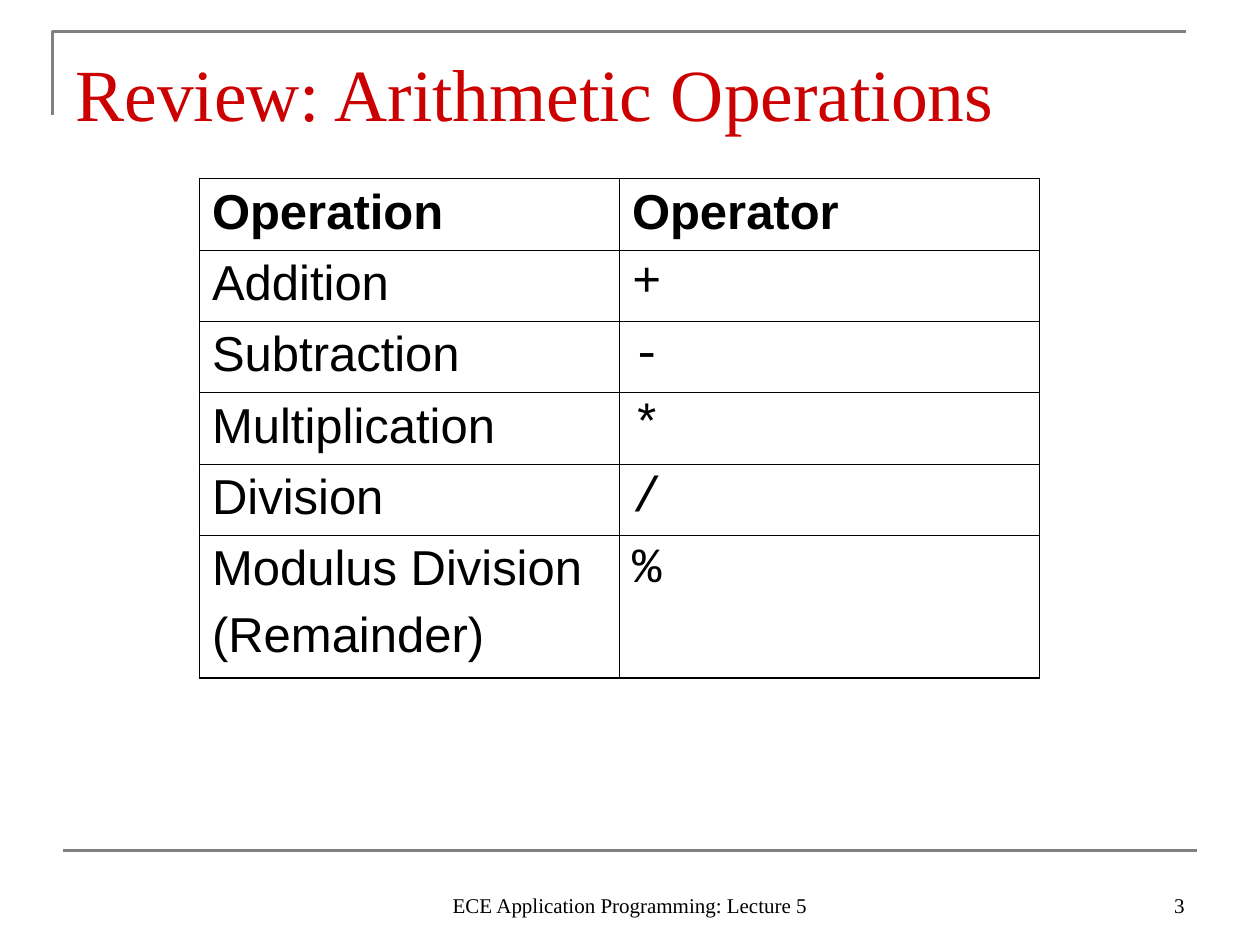
from pptx import Presentation
from pptx.dml.color import RGBColor
from pptx.enum.shapes import MSO_CONNECTOR
from pptx.enum.text import MSO_ANCHOR, MSO_AUTO_SIZE, PP_ALIGN
from pptx.oxml.ns import qn
from pptx.util import Pt
from lxml import etree

LEFT, MID, RIGHT = PP_ALIGN.LEFT, PP_ALIGN.CENTER, PP_ALIGN.RIGHT
LOW = MSO_ANCHOR.BOTTOM
FIXED = MSO_AUTO_SIZE.NONE
LINE = MSO_CONNECTOR.STRAIGHT

TITLE = "Review: Arithmetic Operations"
ROWS = [
    ("Operation", "Operator"),
    ("Addition", "+"),
    ("Subtraction", "-"),
    ("Multiplication", "*"),
    ("Division", "/"),
    ("Modulus Division\n(Remainder)", "%"),
]
NOTES = [
    ("3", (516, 492, 168, 36), RIGHT),
    ("ECE Application Programming: Lecture 5", (246, 492, 228, 36), MID),
]
THEME = {
    "title": ("Times New Roman", 42, "CC0000"),
    "foot": ("Times New Roman", 12, "000000"),
    "text": ("Arial", 28, "000000"),
    "code": ("Courier New", 28, "000000"),
    "rule": "808080",
    "grid": "000000",
}
RULE, INNER, OUTER = 1.5, 0.45, 1.08
COL, ROW, TALL = 240, 40.8, 81.36
GAP = 7


def style(para, role, align=LEFT, bold=False):
    name, size, color = THEME[role]
    para.alignment = align
    font = para.font
    font.name, font.size, font.bold = name, Pt(size), bold
    font.color.rgb = RGBColor.from_string(color)


def stroke(line):
    line.color.rgb = RGBColor.from_string(THEME["rule"])
    line.width = Pt(RULE)


def border(cell, sides):
    props = cell._tc.get_or_add_tcPr()
    for spot, (side, width) in enumerate(sides.items()):
        edge = etree.Element(qn("a:" + side), w=str(int(Pt(width))))
        fill = etree.SubElement(edge, qn("a:solidFill"))
        etree.SubElement(fill, qn("a:srgbClr"), val=THEME["grid"])
        props.insert(spot, edge)


def frame(slide):
    pen = slide.shapes.build_freeform(Pt(30), Pt(66))
    pen.add_line_segments([(Pt(30), Pt(18)), (Pt(678), Pt(18))], close=False)
    corner = pen.convert_to_shape()
    corner.shadow.inherit = False
    corner.fill.background()
    stroke(corner.line)
    base = slide.shapes.add_connector(LINE, Pt(36), Pt(486), Pt(684), Pt(486))
    etree.SubElement(base._element.spPr, qn("a:effectLst"))
    stroke(base.line)


def head(slide):
    title = slide.shapes.title
    title.left, title.top = Pt(36), Pt(21.6)
    title.width, title.height = Pt(648), Pt(56.4)
    box = title.text_frame
    box.text = TITLE
    box.auto_size = FIXED
    box.vertical_anchor = LOW
    box.margin_top = box.margin_bottom = 0
    style(box.paragraphs[0], "title")


def grid(slide):
    last = len(ROWS) - 1
    high = ROW * last + TALL
    table = slide.shapes.add_table(
        len(ROWS), 2, Pt(114), Pt(102), Pt(COL * 2), Pt(high)
    ).table
    table.first_row = table.horz_banding = False
    for r, row in enumerate(ROWS):
        table.rows[r].height = Pt(TALL if r == last else ROW)
        for c, text in enumerate(row):
            cell = table.cell(r, c)
            cell.text = text
            cell.fill.background()
            border(cell, {
                "lnL": OUTER if c == 0 else INNER,
                "lnR": OUTER if c == 1 else INNER,
                "lnT": OUTER if r == 0 else INNER,
                "lnB": OUTER if r == last else INNER,
            })
            role = "code" if r and c else "text"
            for n, para in enumerate(cell.text_frame.paragraphs):
                style(para, role, bold=r == 0)
                if n:
                    para.space_before = Pt(GAP)


def foot(slide):
    for text, area, align in NOTES:
        box = slide.shapes.add_textbox(*map(Pt, area)).text_frame
        box.word_wrap = True
        box.vertical_anchor = LOW
        box.text = text
        style(box.paragraphs[0], "foot", align)


def main():
    deck = Presentation()
    deck.slide_width, deck.slide_height = Pt(720), Pt(540)
    slide = deck.slides.add_slide(deck.slide_layouts[5])
    frame(slide)
    head(slide)
    grid(slide)
    foot(slide)
    deck.save("out.pptx")


if __name__ == "__main__":
    main()
